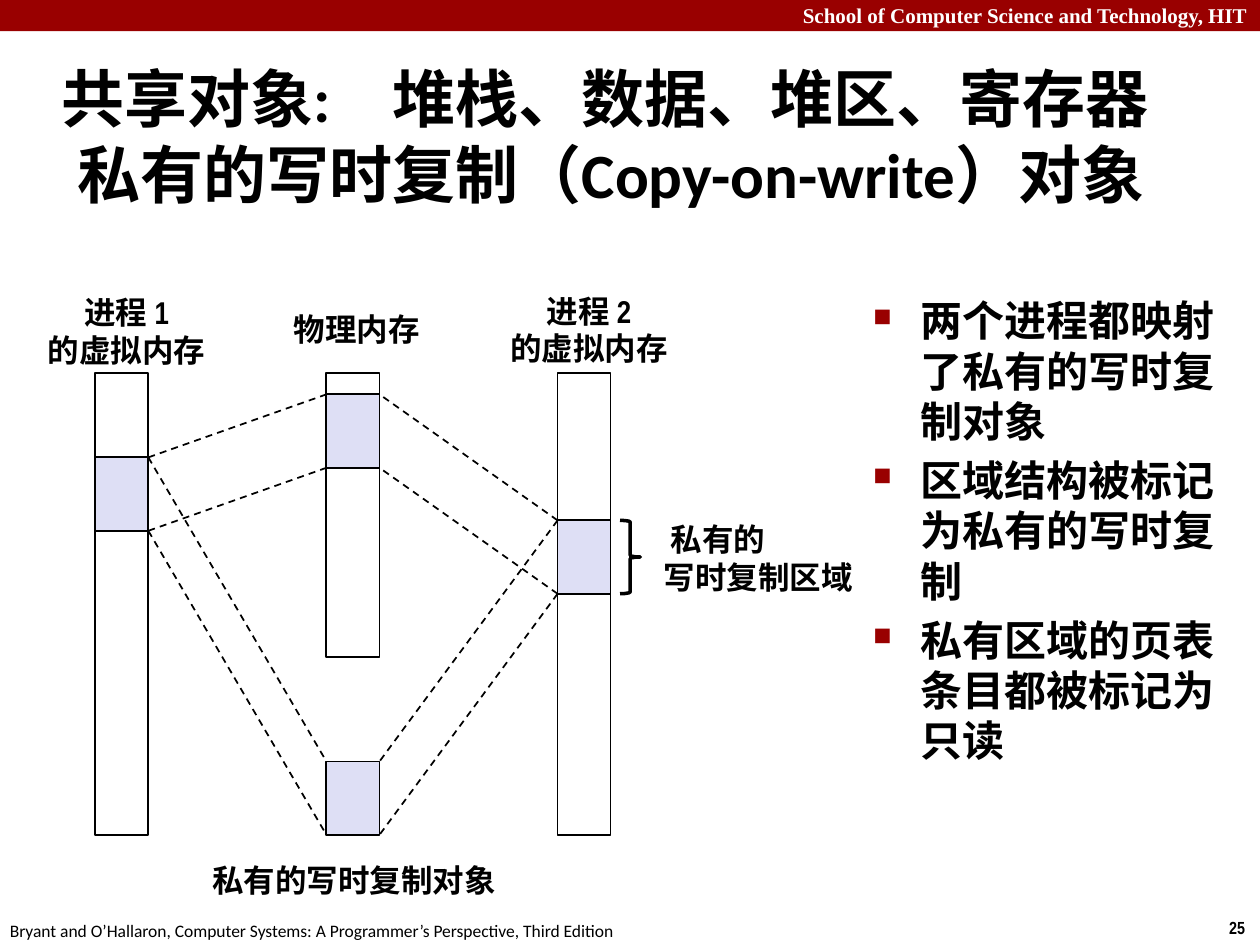
from lxml import etree
from pptx import Presentation
from pptx import util as u
from pptx.dml.color import RGBColor
from pptx.enum import dml, shapes, text
from pptx.oxml.ns import qn

BLACK = RGBColor(0x00, 0x00, 0x00)
WHITE = RGBColor(0xFF, 0xFF, 0xFF)
RED = RGBColor(0x99, 0x00, 0x00)
LILAC = RGBColor(0xDE, 0xDF, 0xF5)
LEFT, CENTER, RIGHT = text.PP_ALIGN.LEFT, text.PP_ALIGN.CENTER, text.PP_ALIGN.RIGHT
TOP, MIDDLE = text.MSO_ANCHOR.TOP, text.MSO_ANCHOR.MIDDLE

deck = Presentation()
deck.slide_width, deck.slide_height = u.Cm(25.4), u.Cm(19.05)
page = deck.slides.add_slide(deck.slide_layouts[6])


def add_text(place, lines, size, face, bold=True, color=BLACK, align=LEFT,
             anchor=TOP, wrap=False):
    """Add a text box with one paragraph per line and return its paragraphs."""
    box = page.shapes.add_textbox(*[u.Cm(value) for value in place])
    frame = box.text_frame
    frame.word_wrap, frame.vertical_anchor = wrap, anchor
    for number, line in enumerate(lines):
        para = frame.paragraphs[0] if number == 0 else frame.add_paragraph()
        para.text, para.alignment = line, align
        for span in para.runs:
            for key, value in {"size": u.Pt(size), "name": face, "bold": bold}.items():
                setattr(span.font, key, value)
            span.font.color.rgb = color
    return frame.paragraphs


def add_block(kind, place, fill=None, line=BLACK, width=1):
    """Add a preset shape with a plain fill and outline."""
    block = page.shapes.add_shape(kind, *[u.Cm(value) for value in place])
    block.shadow.inherit = False
    if fill is None:
        block.fill.background()
    else:
        block.fill.solid()
        block.fill.fore_color.rgb = fill
    if line is None:
        block.line.fill.background()
    else:
        block.line.color.rgb = line
        block.line.width = u.Pt(width)


RECT = shapes.MSO_SHAPE.RECTANGLE

# Banner and footer
add_block(RECT, (0, 0, 25.4, 0.63), RED, None)
add_text((0, -0.08, 25.4, 0.77), ["School of Computer Science and Technology, HIT"],
         12, "Times New Roman", color=WHITE, align=RIGHT, wrap=True)
add_text((24.53, 18.36, 0.87, 0.68), ["25"], 10, "Arial Narrow")
add_text((-0.05, 18.42, 12.9, 0.68),
         ["Bryant and O’Hallaron, Computer Systems: A Programmer’s Perspective, Third Edition"],
         10, "Calibri", bold=False)

# Title, with a tab stop for the gap after the colon
title = add_text((0.99, 1.22, 23.14, 3.02),
                 ["共享对象:\t堆栈、数据、堆区、寄存器\v私有的写时复制（Copy-on-write）对象"],
                 36, "Calibri", anchor=MIDDLE, wrap=True)[0]
props = title._p.get_or_add_pPr()
props.set("marL", str(u.Cm(0.33)))
props.set("indent", str(u.Cm(-0.33)))
stops = etree.SubElement(props, qn("a:tabLst"))
etree.SubElement(stops, qn("a:tab"), pos=str(u.Cm(7.75)), algn="l")

# Bulleted notes
notes = ["两个进程都映射了私有的写时复制对象", "区域结构被标记为私有的写时复制",
         "私有区域的页表条目都被标记为只读"]
for para in add_text((17.35, 5.82, 8.05, 11.63), notes, 24, "Calibri", wrap=True):
    para.space_before = u.Pt(4.8)
    props = para._p.get_or_add_pPr()
    props.set("marL", str(u.Cm(0.95)))
    props.set("indent", str(u.Cm(-0.95)))
    color = etree.SubElement(props, qn("a:buClr"))
    etree.SubElement(color, qn("a:srgbClr"), val=str(RED))
    etree.SubElement(props, qn("a:buSzPct"), val="60000")
    etree.SubElement(props, qn("a:buChar"), char="■")

# Memory columns and the regions mapped in them
BAR, REGION, BAR_TOP = 1.07, 1.48, 7.52
process1, physical, process2 = [1.92 + 4.66 * step for step in range(3)]
first_top, second_top = 9.22, 10.49
shared_top, object_top = 7.95, 15.35
for left, height in ((process1, 9.31), (physical, 5.72), (process2, 9.31)):
    add_block(RECT, (left, BAR_TOP, BAR, height))
for left, top in ((physical, object_top), (physical, shared_top),
                  (process1, first_top), (process2, second_top)):
    add_block(RECT, (left, top, BAR, REGION), LILAC)
add_block(shapes.MSO_SHAPE.RIGHT_BRACE, (12.5, second_top, 0.41, REGION), width=2)

# Dashed mappings from the top and bottom of each region
for target in (object_top, shared_top):
    for x1, y1, x2 in ((process1 + BAR, first_top, physical),
                       (process2, second_top, physical + BAR)):
        for drop in (0, REGION):
            ends = (x1, y1 + drop, x2, target + drop)
            mapping = page.shapes.add_connector(
                shapes.MSO_CONNECTOR.STRAIGHT, *[u.Cm(value) for value in ends])
            mapping.line.color.rgb = BLACK
            mapping.line.width = u.Pt(1)
            mapping.line.dash_style = dml.MSO_LINE.DASH
            etree.SubElement(mapping._element.spPr, qn("a:effectLst"))

# Diagram labels
labels = [
    ((0.69, 5.77, 3.73, 1.8), ["进程 1", "的虚拟内存"], CENTER),
    ((5.64, 6.12, 3.1, 1.02), ["物理内存"], CENTER),
    ((10.01, 5.74, 3.73, 1.8), ["进程 2", "的虚拟内存"], CENTER),
    ((13.13, 10.34, 4.39, 1.8), [" 私有的", "写时复制区域"], LEFT),
    ((3.9, 17.22, 6.48, 1.02), ["私有的写时复制对象"], CENTER),
]
for place, lines, align in labels:
    add_text(place, lines, 18, "Arial Narrow", align=align, anchor=MIDDLE)

deck.save("out.pptx")
